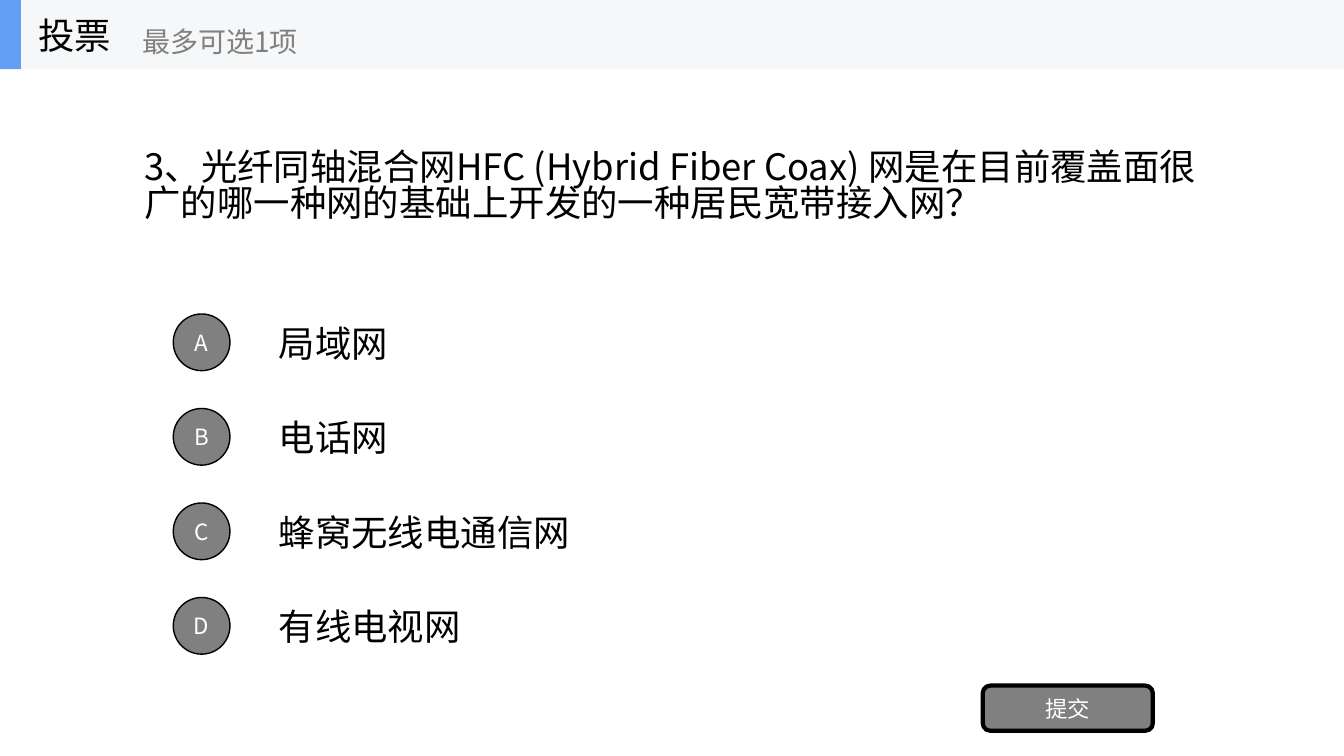
from lxml import etree
from pptx import Presentation
from pptx import util as u
from pptx.dml.color import RGBColor
from pptx.enum import shapes, text
from pptx.oxml.ns import qn

PX = 9525
FONT = "Noto Sans CJK SC"
BLACK, GREY, WHITE = "000000", "808080", "FFFFFF"
KINDS = shapes.MSO_SHAPE


def rgb(value):
    return RGBColor.from_string(value)


def box(*lengths):
    return [u.Emu(n * PX) for n in lengths]


def write(sp, words, size=26, color=BLACK, align=text.PP_ALIGN.LEFT, wrap=True, spacing=None):
    tf = sp.text_frame
    tf.auto_size = text.MSO_AUTO_SIZE.NONE
    tf.word_wrap = wrap
    tf.vertical_anchor = text.MSO_ANCHOR.MIDDLE
    p = tf.paragraphs[0]
    p.alignment = align
    if spacing:
        p.line_spacing = spacing
    r = p.add_run()
    r.text = words
    r.font.size = u.Pt(size)
    r.font.name = FONT
    r.font.color.rgb = rgb(color)
    etree.SubElement(r.font._element, qn("a:ea"), typeface=FONT)


class Poll:
    """Style and current slide of a poll, with a method per kind of element."""

    def __init__(self, prs):
        self.s = prs.slides.add_slide(prs.slide_layouts[5])

    def title(self, at, words, **fmt):
        sp = self.s.shapes.title
        sp.left, sp.top, sp.width, sp.height = box(*at)
        write(sp, words, **fmt)

    def label(self, at, words, **fmt):
        write(self.s.shapes.add_textbox(*box(*at)), words, **fmt)

    def shape(self, kind, at, fill, line=None):
        sp = self.s.shapes.add_shape(kind, *box(*at))
        sp.shadow.inherit = False
        sp.fill.solid()
        sp.fill.fore_color.rgb = rgb(fill)
        if line:
            sp.line.color.rgb = rgb(BLACK)
            sp.line.width = u.Pt(line)
        else:
            sp.line.fill.background()
        return sp

    def button(self, kind, at, words, line):
        sp = self.shape(kind, at, GREY, line)
        write(sp, words, size=16, color=WHITE, align=text.PP_ALIGN.CENTER)


def main():
    prs = Presentation()
    prs.slide_width, prs.slide_height = box(1280, 720)
    poll = Poll(prs)

    poll.title((128, 66, 1024, 225),
               "3、光纤同轴混合网HFC (Hybrid Fiber Coax) 网是在目前覆盖面很广的"
               "哪一种网的基础上开发的一种居民宽带接入网？", spacing=0.84)

    answers = ["局域网", "电话网", "蜂窝无线电通信网", "有线电视网"]
    for i, (letter, answer) in enumerate(zip("ABCD", answers)):
        top = 293 + 90 * i
        poll.label((256, top, 896, 67), answer)
        poll.button(KINDS.OVAL, (165, top + 6, 54, 54), letter, line=1)
    poll.button(KINDS.ROUNDED_RECTANGLE, (936, 653, 162, 43), "提交", line=3)

    poll.shape(KINDS.RECTANGLE, (0, 0, 1280, 66), "F6F7F8")
    poll.shape(KINDS.RECTANGLE, (0, 0, 20, 66), "639EF4")
    poll.label((27, 0, 200, 66), "投票", wrap=False)
    poll.label((126, 12, 240, 54), "最多可选1项", size=20, color=GREY, wrap=False)

    prs.save("out.pptx")


if __name__ == "__main__":
    main()
